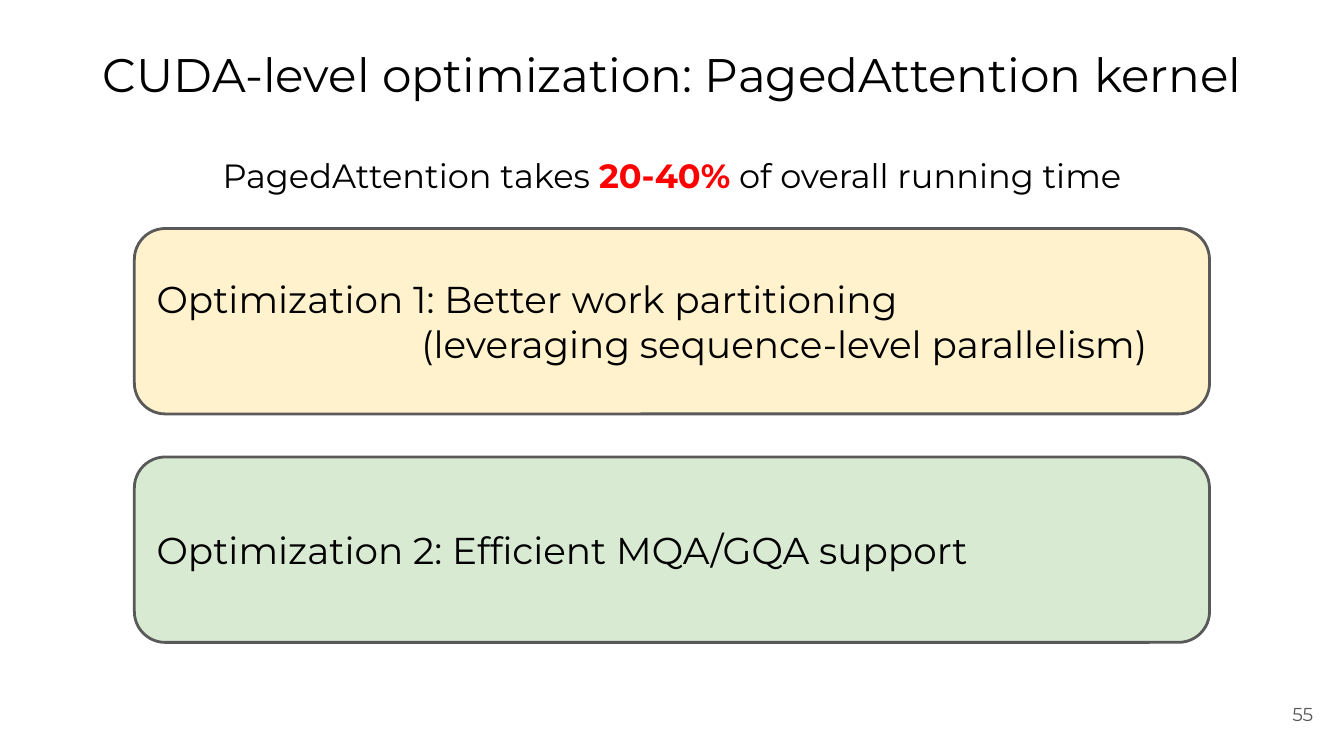
"""Build the slide on CUDA-level optimization of the PagedAttention kernel."""
from lxml import etree
from pptx import Presentation
from pptx.dml.color import RGBColor
from pptx.enum.shapes import MSO_SHAPE
from pptx.enum.text import MSO_ANCHOR, MSO_AUTO_SIZE, PP_ALIGN
from pptx.oxml.ns import qn
from pptx.util import Inches, Pt

ROUND = MSO_SHAPE.ROUNDED_RECTANGLE
TOP, MIDDLE = MSO_ANCHOR.TOP, MSO_ANCHOR.MIDDLE
LEFT, CENTER, RIGHT = PP_ALIGN.LEFT, PP_ALIGN.CENTER, PP_ALIGN.RIGHT
FIXED = MSO_AUTO_SIZE.NONE

FONT = "Montserrat"
COLORS = {"ink": "000000", "gray": "595959", "red": "FF0000",
          "cream": "FFF2CC", "green": "D9EAD3"}

TITLE = "CUDA-level optimization: PagedAttention kernel"
CLAIM = [("PagedAttention takes ", False), ("20-40%", True),
         (" of overall running time", False)]
CARDS = [
    ("cream", [("Optimization 1: Better work partitioning", 0),
               ("(leveraging sequence-level parallelism)", 1.97)]),
    ("green", [("Optimization 2: Efficient MQA/GQA support", 0)]),
]
PAGE = "55"

WIDE = 10
HIGH = WIDE * 9 / 16
SIDE = 1
SPAN = WIDE - 2 * SIDE
FIRST, TALL, GAP = 1.7, 1.38, 0.32


def color(name):
    return RGBColor.from_string(COLORS[name])


def place(shape, left, top, width, height):
    shape.left, shape.top = Inches(left), Inches(top)
    shape.width, shape.height = Inches(width), Inches(height)


def frame(shape, anchor):
    box = shape.text_frame
    box.word_wrap = True
    box.auto_size = FIXED
    box.vertical_anchor = anchor
    box.margin_left = box.margin_right = Inches(0.1)
    box.margin_top = box.margin_bottom = Inches(0.1)
    return box


def style(para, size, align, ink="ink"):
    para.alignment = align
    para.font.name = FONT
    para.font.size = Pt(size)
    para.font.color.rgb = color(ink)


def add_title(slide):
    shape = slide.shapes.title
    place(shape, 0.34, 0.24, WIDE - 2 * 0.34, 0.63)
    box = frame(shape, TOP)
    box.text = TITLE
    style(box.paragraphs[0], 25.2, CENTER)


def add_claim(slide):
    shape = slide.placeholders[1]
    place(shape, SIDE, 1.01, SPAN, 0.59)
    para = frame(shape, TOP).paragraphs[0]
    props = para._p.get_or_add_pPr()
    props.set("marL", "0")
    props.set("indent", "0")
    etree.SubElement(props, qn("a:buNone"))
    para.line_spacing = 1.15
    para.space_before, para.space_after = Pt(0), Pt(12)
    style(para, 18, CENTER)
    for text, strong in CLAIM:
        run = para.add_run()
        run.text = text
        if strong:
            run.font.bold = True
            run.font.color.rgb = color("red")


def add_card(slide, row, fill, lines):
    top = FIRST + row * (TALL + GAP)
    card = slide.shapes.add_shape(ROUND, Inches(SIDE), Inches(top),
                                  Inches(SPAN), Inches(TALL))
    card.shadow.inherit = False
    card.fill.solid()
    card.fill.fore_color.rgb = color(fill)
    card.line.color.rgb = color("gray")
    card.line.width = Pt(1.5)
    box = frame(card, MIDDLE)
    box.text = "\n".join(text for text, _ in lines)
    for para, (_, indent) in zip(box.paragraphs, lines):
        para._p.get_or_add_pPr().set("marL", str(Inches(indent)))
        style(para, 20, LEFT)


def add_page(slide):
    shape = slide.shapes.add_textbox(Inches(9.27), Inches(5.1),
                                     Inches(0.6), Inches(0.43))
    box = frame(shape, MIDDLE)
    box.text = PAGE
    style(box.paragraphs[0], 10, RIGHT, "gray")


def main():
    deck = Presentation()
    deck.slide_width, deck.slide_height = Inches(WIDE), Inches(HIGH)
    slide = deck.slides.add_slide(deck.slide_layouts[1])
    add_title(slide)
    add_claim(slide)
    for row, (fill, lines) in enumerate(CARDS):
        add_card(slide, row, fill, lines)
    add_page(slide)
    deck.save("out.pptx")


if __name__ == "__main__":
    main()
